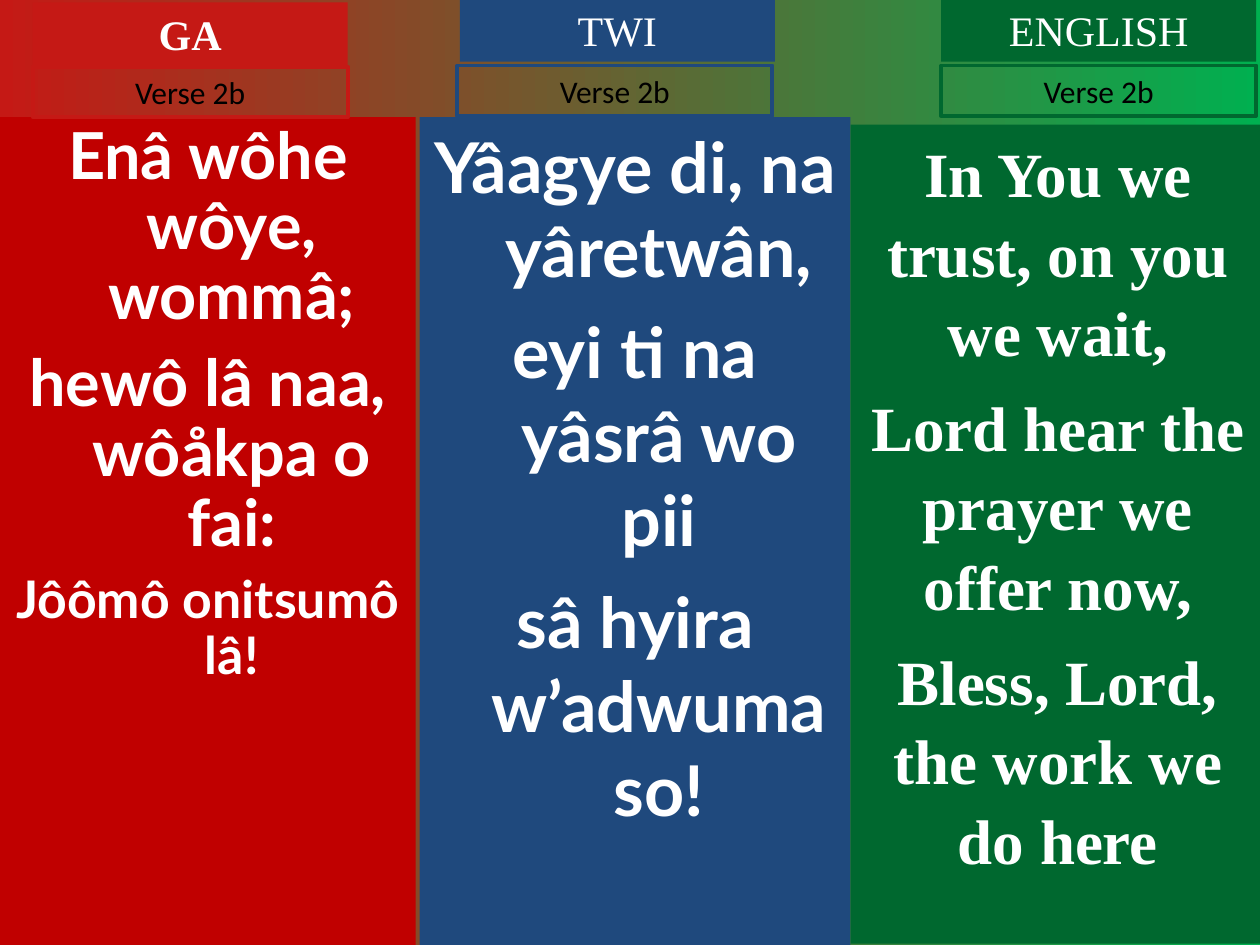
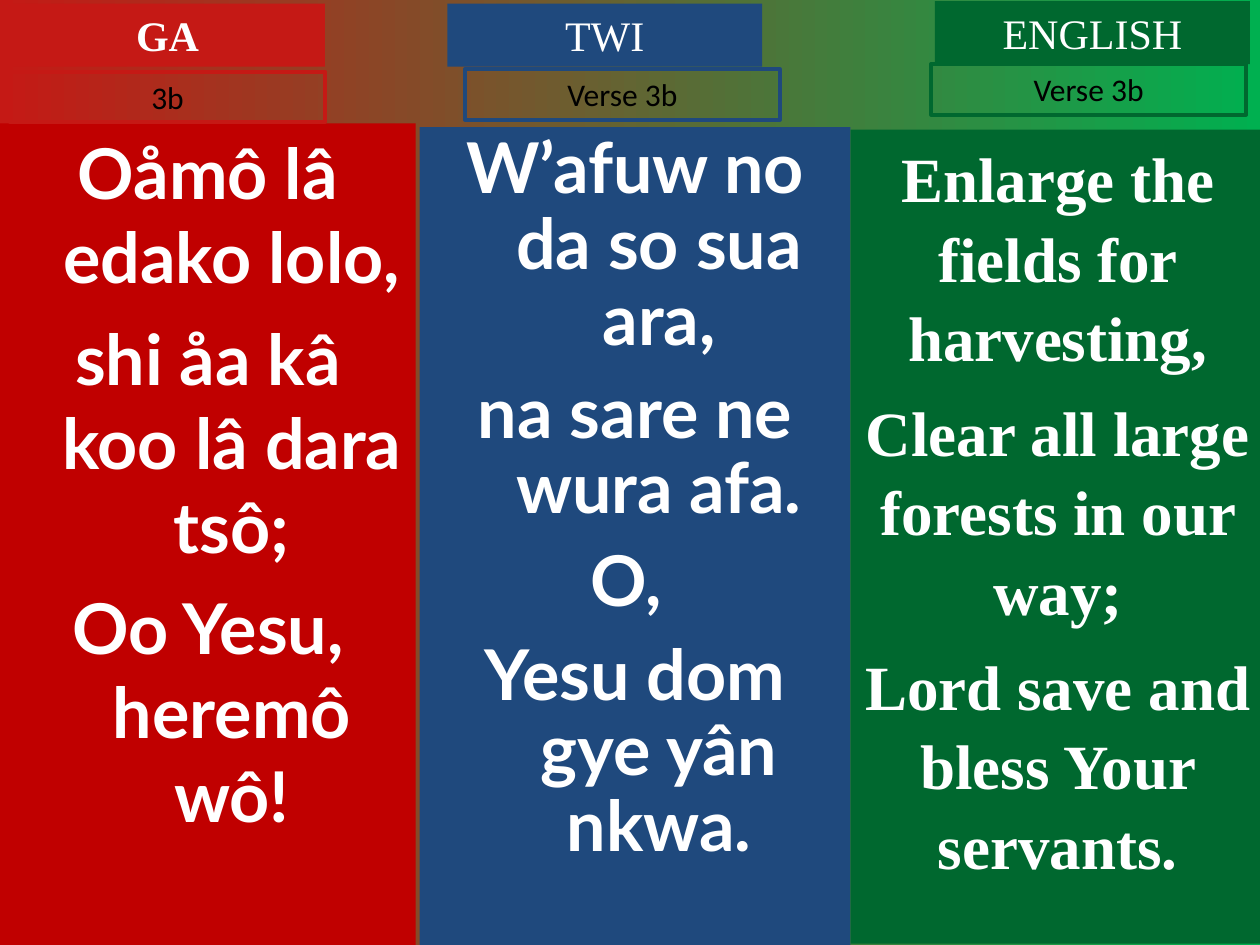
from math import ceil
from pptx import Presentation
from pptx.dml.color import RGBColor
from pptx.enum import shapes, text
from pptx.util import Inches, Pt

WHITE, BLACK = "FFFFFF", "000000"
FADE = ("C51915", "00B050")
SERIF, SANS, LABEL = "Times New Roman", "Lato", "Calibri"
HANG = 0.38
HEAD_SIZE, TAG_SIZE = (2.5, 0.5), (2.5, 0.4)

# One entry per language, left to right
COLUMNS = [
    dict(name="GA", left=0, width=3.3, foot=7.5, fill="C00000", edge="C51915",
         font=SANS, hang=HANG, bold=True),
    dict(name="TWI", left=3.33, width=3.42, foot=7.5, fill="1F497D", edge="1F497D",
         font=SANS, hang=HANG, bold=False),
    dict(name="ENGLISH", left=6.75, width=3.29, foot=7.49, fill="00682F", edge="00682F",
         font=SERIF, hang=0, bold=False),
]

# Per column: head and tag corners, tag text, top of the panel,
# line spacing, and the verse as (size, line) pairs
SLIDES = [
    [
        dict(head=(0.26, 0.02), tag=(0.26, 0.53), label="Verse 2b", top=0.93, space=0.9,
             verse=[(37, "Enâ wôhe wôye, wommâ;"),
                    (37, "hewô lâ naa, wôåkpa o fai:"),
                    (29.6, "Jôômô onitsumô lâ!")]),
        dict(head=(3.65, -0.01), tag=(3.63, 0.52), label="Verse 2b", top=0.93, space=1.0,
             verse=[(40, "Yâagye di, na yâretwân,"),
                    (40, "eyi ti na yâsrâ wo pii"),
                    (40, "sâ hyira w’adwuma so!")]),
        dict(head=(7.47, -0.01), tag=(7.47, 0.52), label="Verse 2b", top=0.99, space=1.05,
             verse=[(36, "In You we trust, on you we wait,"),
                    (36, "Lord hear the prayer we offer now,"),
                    (36, "Bless, Lord, the work we do here")]),
    ],
    [
        dict(head=(0.08, 0.03), tag=(0.08, 0.57), label="3b", top=0.98, space=1.0,
             verse=[(40, "Oåmô lâ edako lolo,"),
                    (40, "shi åa kâ koo lâ dara tsô;"),
                    (40, "Oo Yesu, heremô wô!")]),
        dict(head=(3.55, 0.03), tag=(3.69, 0.55), label="Verse 3b", top=1.01, space=0.9,
             verse=[(40, "W’afuw no da so sua ara,"),
                    (40, "na sare ne wura afa."),
                    (40, "O, "),
                    (40, "Yesu dom gye yân nkwa.")]),
        dict(head=(7.42, 0.01), tag=(7.39, 0.51), label="Verse 3b", top=1.03, space=1.05,
             verse=[(36, "Enlarge the fields for harvesting,"),
                    (36, "Clear all large forests in our way;"),
                    (36, "Lord save and bless Your servants.")]),
    ],
]


def rgb(code):
    return RGBColor.from_string(code)


def add_box(slide, spot, size, fill=None, edge=None):
    box = slide.shapes.add_shape(shapes.MSO_SHAPE.RECTANGLE,
                                 *(Inches(n) for n in (*spot, *size)))
    box.shadow.inherit = False
    if fill:
        box.fill.solid()
        box.fill.fore_color.rgb = rgb(fill)
    else:
        box.fill.background()
    if edge:
        box.line.color.rgb = rgb(edge)
        box.line.width = Pt(2.25)
    else:
        box.line.fill.background()
    frame = box.text_frame
    frame.word_wrap = True
    frame.vertical_anchor = text.MSO_ANCHOR.TOP
    return frame


def style(para, font, size, color, bold=False):
    para.alignment = text.PP_ALIGN.CENTER
    for run in para.runs:
        run.font.name = font
        run.font.size = Pt(size)
        run.font.bold = bold
        run.font.color.rgb = rgb(color)


def add_panel(slide, col, part):
    frame = add_box(slide, (col["left"], part["top"]),
                    (col["width"], col["foot"] - part["top"]), fill=col["fill"])
    for i, (size, line) in enumerate(part["verse"]):
        para = frame.add_paragraph() if i else frame.paragraphs[0]
        para.text = line
        para.line_spacing = part["space"]
        para.space_before = Pt(ceil(size / 4) if i else 0)
        if col["hang"]:
            props = para._p.get_or_add_pPr()
            props.set("marL", str(Inches(col["hang"])))
            props.set("indent", str(-Inches(col["hang"])))
        style(para, col["font"], size, WHITE, bold=True)


def add_title(slide, col, part):
    """Add the language name and the outlined verse tag below it."""
    head = add_box(slide, part["head"], HEAD_SIZE, fill=col["edge"])
    head.text = col["name"]
    style(head.paragraphs[0], SERIF, 24, WHITE, col["bold"])
    tag = add_box(slide, part["tag"], TAG_SIZE, edge=col["edge"])
    tag.text = part["label"]
    style(tag.paragraphs[0], LABEL, 18, BLACK)
    for frame in (head, tag):
        frame.auto_size = text.MSO_AUTO_SIZE.SHAPE_TO_FIT_TEXT


def paint(slide):
    """Fade the background from left to right."""
    fill = slide.background.fill
    fill.gradient()
    fill.gradient_angle = 0
    for stop, code in zip(fill.gradient_stops, FADE):
        stop.color.rgb = rgb(code)


def main():
    deck = Presentation()
    deck.slide_width, deck.slide_height = Inches(10), Inches(7.5)
    for parts in SLIDES:
        slide = deck.slides.add_slide(deck.slide_layouts[6])
        paint(slide)
        for add in (add_panel, add_title):
            for col, part in zip(COLUMNS, parts):
                add(slide, col, part)
    deck.save("out.pptx")


if __name__ == "__main__":
    main()
